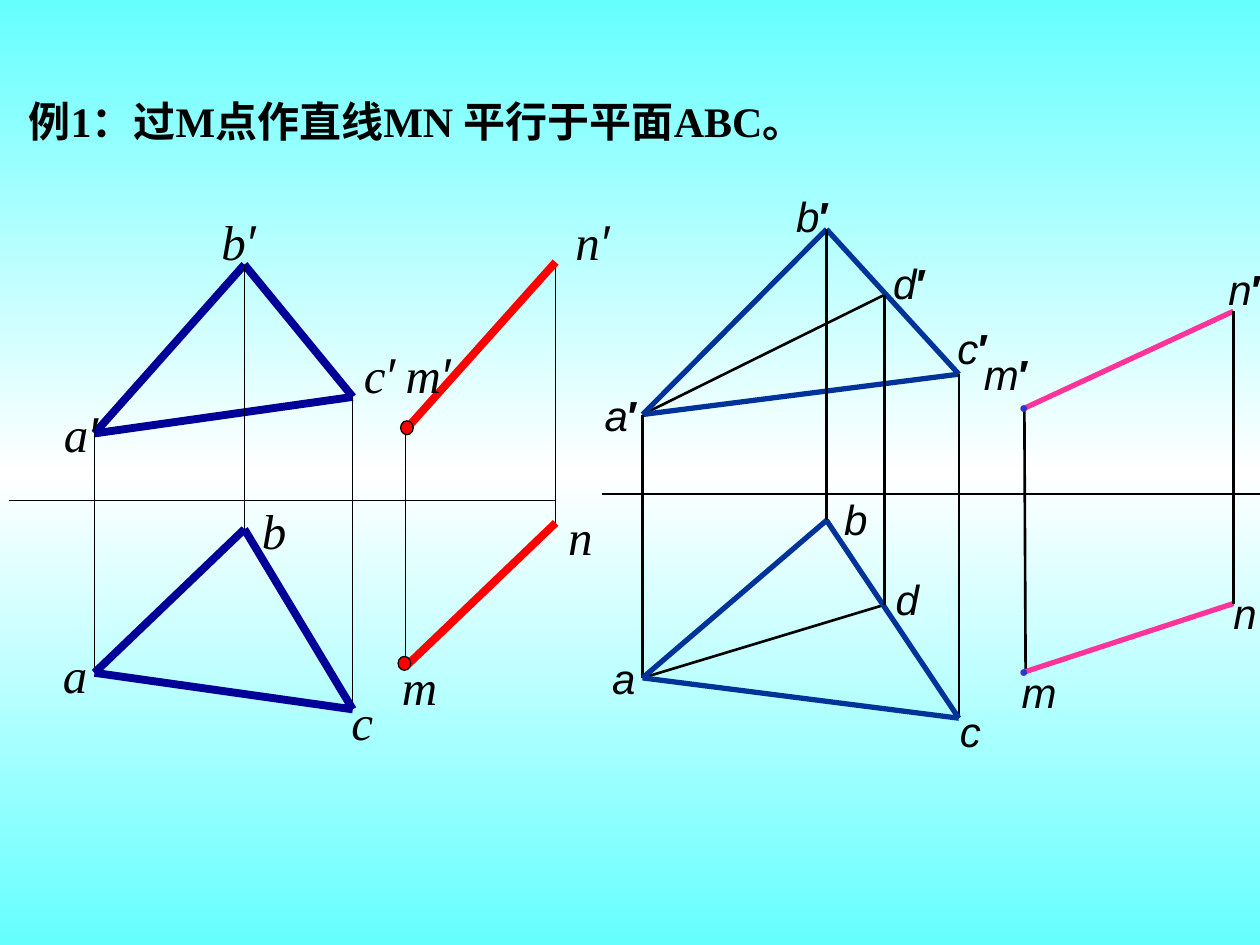
from dataclasses import dataclass

from lxml import etree
from pptx import Presentation
from pptx import util as u
from pptx.dml import color
from pptx.enum import shapes, text
from pptx.oxml import ns

SCALE = 9144
BLACK = "000000"
SERIF = "Times New Roman"
SANS = "Arial"


@dataclass
class View:
    points: dict
    edges: list
    labels: list
    axis: tuple
    triangle: tuple
    parallel: tuple
    thin: float
    font: str
    size: int
    align: int
    label_height: int
    upright_prime: bool


def px(value):
    return u.Emu(value * SCALE)


def rgb(value):
    return color.RGBColor.from_string(value)


def paint_background(page):
    page.background.fill.gradient()
    page.background.fill.gradient_angle = 270
    stops = page.element.find(".//" + ns.qn("a:gsLst"))
    for stop in list(stops):
        stops.remove(stop)
    for position, tone in ((0, "66FFFF"), (50000, "FFFFFF"), (100000, "66FFFF")):
        stop = etree.SubElement(stops, ns.qn("a:gs"), pos=str(position))
        etree.SubElement(stop, ns.qn("a:srgbClr"), val=tone)


def add_line(page, start, end, tone, width):
    line = page.shapes.add_connector(
        shapes.MSO_CONNECTOR.STRAIGHT, *map(px, start), *map(px, end))
    line.line.color.rgb = rgb(tone)
    line.line.width = u.Pt(width)
    etree.SubElement(line.element.spPr, ns.qn("a:effectLst"))


def add_text(page, left, top, width, height, pieces, font, size, tone=BLACK,
             align=text.PP_ALIGN.LEFT, anchor=text.MSO_ANCHOR.MIDDLE, wrap=False):
    box = page.shapes.add_textbox(px(left), px(top), px(width), px(height))
    frame = box.text_frame
    frame.word_wrap = wrap
    frame.vertical_anchor = anchor
    para = frame.paragraphs[0]
    para.alignment = align
    for content, bold, italic, face in pieces:
        span = para.add_run()
        span.text = content
        span.font.name = face or font
        span.font.size = u.Pt(size)
        span.font.bold = bold
        span.font.italic = italic
        span.font.color.rgb = rgb(tone)


def add_title(page, left, top, width, height):
    add_text(page, left, top, width, height,
             [("例1：过M点作直线MN 平行于平面ABC。", True, False, None)],
             SERIF, 24, anchor=text.MSO_ANCHOR.TOP, wrap=True)


def add_view(page, left, top, view):
    def place(point):
        return left + point[0], top + point[1]

    styles = {"triangle": view.triangle, "parallel": view.parallel,
              "thin": (BLACK, view.thin)}
    for style, pairs in view.edges:
        for pair in pairs.split():
            start, end = pair.split("-")
            add_line(page, place(view.points[start]), place(view.points[end]),
                     *styles[style])
    add_line(page, place(view.axis[0]), place(view.axis[1]), BLACK, view.thin)

    for name, x, y, width in view.labels:
        pieces = [(name[0], False, True, None)]
        if name.endswith("′"):
            pieces.append(("′", view.upright_prime, not view.upright_prime, SANS))
        add_text(page, left + x, top + y, width, view.label_height, pieces,
                 view.font, view.size, align=view.align)


def add_round_markers(page, left, top, centres):
    for x, y in centres:
        dot = page.shapes.add_shape(shapes.MSO_SHAPE.OVAL, px(left + x - 5),
                                    px(top + y - 5), px(10), px(11))
        dot.shadow.inherit = False
        dot.fill.solid()
        dot.fill.fore_color.rgb = rgb("FF0000")
        dot.line.color.rgb = rgb(BLACK)
        dot.line.width = u.Pt(0.75)


def add_text_markers(page, left, top, corners):
    for x, y in corners:
        add_text(page, left + x, top + y, 27, 25, [("●", True, False, None)],
                 SERIF, 9, "3333CC")


GIVEN = View(
    points={"a′": (75, 194), "b′": (194, 60), "c′": (280, 165),
            "a": (75, 384), "b": (194, 270), "c": (280, 413),
            "m′": (322, 191), "n′": (441, 58), "m": (322, 379), "n": (441, 265)},
    edges=[("triangle", "a′-b′ b′-c′ a′-c′"),
           ("thin", "a′-a b′-b c′-c m′-m n′-n"),
           ("triangle", "a-b b-c a-c"),
           ("parallel", "m′-n′ m-n")],
    labels=[("a′", 38, 165, 52), ("c′", 276, 118, 50), ("b′", 163, 13, 52),
            ("a", 40, 356, 39), ("b", 198, 242, 39), ("c", 269, 394, 37),
            ("m", 309, 366, 48), ("m′", 309, 118, 61),
            ("n′", 441, 13, 58), ("n", 441, 247, 39)],
    axis=((7, 247), (441, 247)), triangle=("000099", 4.5),
    parallel=("FF0000", 4.5), thin=0.75, font=SERIF, size=28,
    align=text.PP_ALIGN.CENTER, label_height=57, upright_prime=False)

SOLVED = View(
    points={"a′": (40, 189), "b′": (186, 42), "c′": (291, 157), "d′": (232, 94),
            "a": (40, 398), "b": (186, 273), "c": (291, 430), "d": (232, 340),
            "m′": (343, 184), "n′": (509, 107), "m": (344, 393), "n": (509, 339)},
    edges=[("thin", "m′-m m-n a′-d′ a-d"),
           ("parallel", "m-n m′-n′"),
           ("triangle", "a′-b′ b′-c′ a′-c′"),
           ("thin", "a′-a b′-b c′-c"),
           ("triangle", "a-b b-c a-c"),
           ("thin", "d′-d n′-n")],
    labels=[("n′", 495, 64, 51), ("a′", 0, 164, 50), ("c′", 280, 111, 47),
            ("b′", 152, 6, 50), ("m′", 301, 132, 57), ("a", 6, 373, 39),
            ("b", 190, 247, 39), ("c", 282, 415, 36), ("m", 331, 384, 50),
            ("n", 499, 321, 40), ("d′", 229, 59, 50), ("d", 231, 310, 39)],
    axis=((8, 252), (530, 252)), triangle=("003399", 3),
    parallel=("FF3399", 3), thin=1.5, font=SANS, size=24,
    align=text.PP_ALIGN.LEFT, label_height=50, upright_prime=True)


def main():
    deck = Presentation()
    deck.slide_width, deck.slide_height = px(1000), px(750)
    page = deck.slides.add_slide(deck.slide_layouts[6])
    paint_background(page)
    add_title(page, 13, 71, 954, 94)
    add_view(page, 0, 150, GIVEN)
    add_round_markers(page, 0, 150, [(323, 189), (321, 376)])
    add_view(page, 470, 140, SOLVED)
    add_text_markers(page, 470, 140, [(329, 171), (329, 380)])
    deck.save("out.pptx")


if __name__ == "__main__":
    main()
